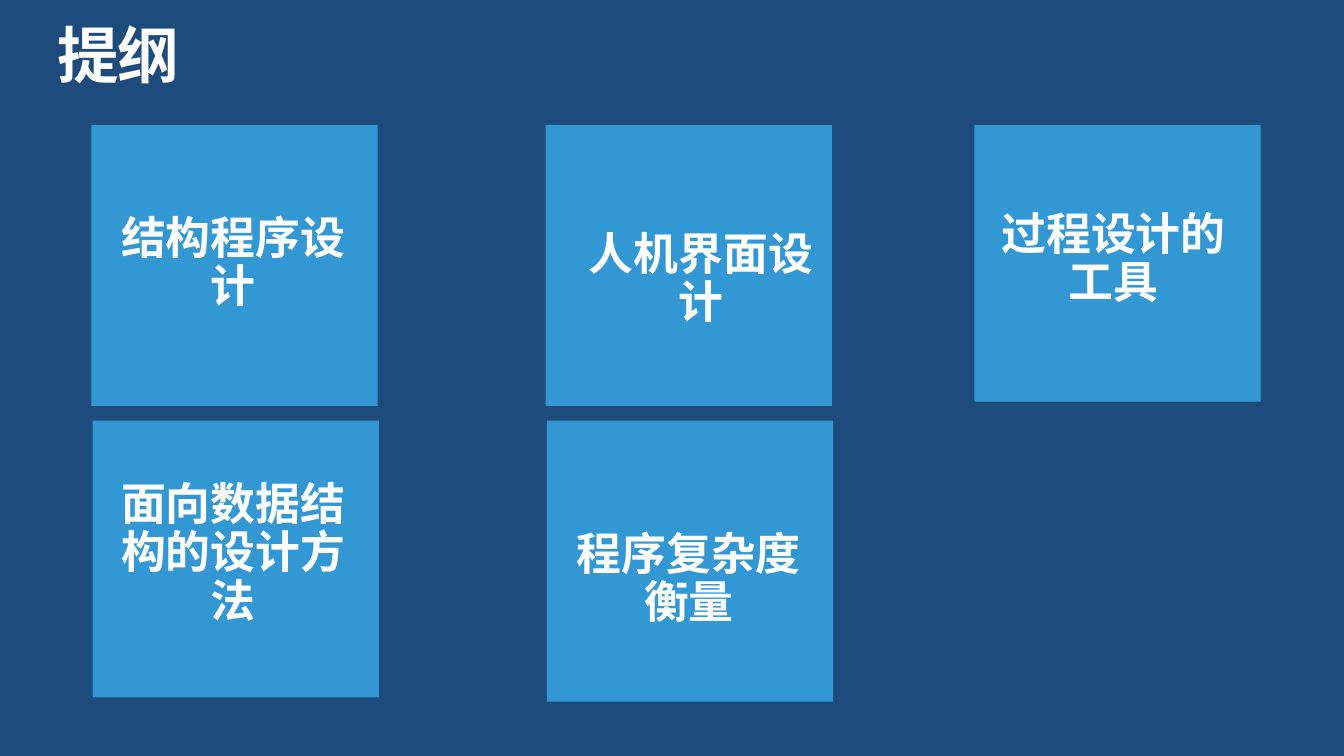
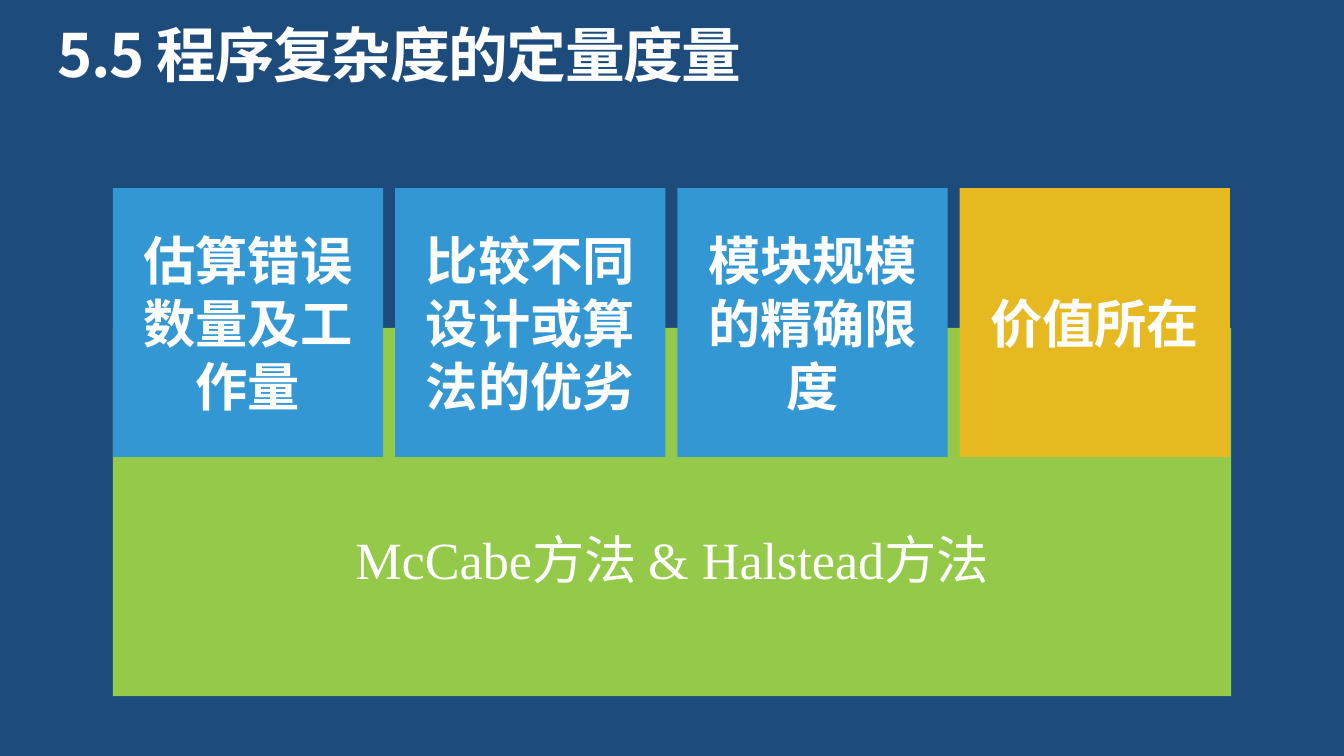
from dataclasses import dataclass
from typing import NamedTuple

from lxml.etree import SubElement
from pptx import Presentation
from pptx.dml.color import RGBColor
from pptx.enum.shapes import MSO_SHAPE
from pptx.enum.text import MSO_ANCHOR, MSO_AUTO_SIZE, PP_ALIGN
from pptx.oxml.ns import qn
from pptx.util import Emu, Pt

EMU_PER_PX = 9144  # 100 px to the inch
SLIDE_WIDTH = 1000

NAVY = "1D4C7C"
BLUE = "3397D3"
GOLD = "E7B921"
GREEN = "94C949"
WHITE = "FFFFFF"
SANS = "Noto Sans CJK SC"
SERIF = "Times New Roman"


class Box(NamedTuple):
    left: int
    top: int
    width: int
    height: int


@dataclass(frozen=True)
class TextStyle:
    size: int
    font: str = SANS
    bold: bool = True
    align: PP_ALIGN = PP_ALIGN.CENTER
    line_spacing: float = 1.0
    letter_spacing: int = 0


@dataclass(frozen=True)
class OutlineCard:
    text: str
    card: Box
    label: Box


@dataclass(frozen=True)
class Tile:
    text: str
    fill: str = BLUE


CARD_STYLE = TextStyle(24, line_spacing=0.9)
TILE_STYLE = TextStyle(28)
METHOD_STYLE = TextStyle(28, font=SERIF, bold=False)

OUTLINE_CARDS = [
    OutlineCard("结构程序设计", Box(68, 93, 213, 209), Box(84, 160, 179, 73)),
    OutlineCard("人机界面设计", Box(406, 93, 213, 209), Box(432, 172, 179, 73)),
    OutlineCard("过程设计的工具", Box(725, 93, 213, 206), Box(739, 157, 179, 73)),
    OutlineCard("程序复杂度衡量", Box(407, 313, 213, 209), Box(423, 395, 179, 73)),
    OutlineCard("面向数据结构的设计方法", Box(69, 313, 213, 206), Box(84, 358, 179, 109)),
]

TILES = [
    Tile("估算错误数量及工作量"),
    Tile("比较不同设计或算法的优劣"),
    Tile("模块规模的精确限度"),
    Tile("价值所在", GOLD),
]
TILE_LEFT = 84
TILE_PITCH = 210


def px(length: int) -> Emu:
    return Emu(length * EMU_PER_PX)


def color(hex_code: str) -> RGBColor:
    return RGBColor.from_string(hex_code)


def place(box: Box) -> list[Emu]:
    return [px(length) for length in box]


def set_margins(frame, horizontal: int, top: int, bottom: int) -> None:
    frame.margin_left = frame.margin_right = px(horizontal)
    frame.margin_top, frame.margin_bottom = px(top), px(bottom)


def write(frame, text: str, style: TextStyle) -> None:
    """Put one styled run into the first paragraph of a text frame."""
    frame.word_wrap = True
    paragraph = frame.paragraphs[0]
    paragraph.alignment = style.align
    paragraph.line_spacing = style.line_spacing
    run = paragraph.add_run()
    run.text = text
    run.font.size = Pt(style.size)
    run.font.bold = style.bold
    run.font.color.rgb = color(WHITE)
    run.font.name = style.font
    properties = run._r.get_or_add_rPr()
    SubElement(properties, qn("a:ea")).set("typeface", SANS)
    if style.letter_spacing:
        properties.set("spc", str(style.letter_spacing))


def add_block(shapes, box: Box, fill: str, kind: MSO_SHAPE = MSO_SHAPE.RECTANGLE):
    """Add a flat filled shape without outline or shadow."""
    shape = shapes.add_shape(kind, *place(box))
    shape.shadow.inherit = False
    shape.fill.solid()
    shape.fill.fore_color.rgb = color(fill)
    shape.line.fill.background()
    return shape


def add_label(shapes, box: Box, text: str, style: TextStyle, anchor: MSO_ANCHOR) -> None:
    """Add a text box without margins that grows with its text."""
    frame = shapes.add_textbox(*place(box)).text_frame
    set_margins(frame, 0, 0, 0)
    frame.vertical_anchor = anchor
    write(frame, text, style)
    frame.auto_size = MSO_AUTO_SIZE.SHAPE_TO_FIT_TEXT


def add_panel(slide, box: Box, fill: str, text: str, style: TextStyle, top_margin: int = 4) -> None:
    """Add a square-cornered panel that carries its own text."""
    panel = add_block(slide.shapes, box, fill, MSO_SHAPE.ROUNDED_RECTANGLE)
    panel.adjustments[0] = 0
    frame = panel.text_frame
    set_margins(frame, 8, top_margin, 4)
    frame.vertical_anchor = MSO_ANCHOR.MIDDLE
    write(frame, text, style)


def add_titled_slide(presentation, title: str, size: int, height: int):
    slide = presentation.slides.add_slide(presentation.slide_layouts[6])
    style = TextStyle(size, align=PP_ALIGN.LEFT, line_spacing=0.9, letter_spacing=-80)
    add_label(slide.shapes, Box(43, 19, 915, height), title, style, MSO_ANCHOR.TOP)
    return slide


def build_outline(presentation) -> None:
    slide = add_titled_slide(presentation, "提纲", 33, 50)
    for item in OUTLINE_CARDS:
        group = slide.shapes.add_group_shape()
        add_block(group.shapes, item.card, BLUE)
        add_label(group.shapes, item.label, item.text, CARD_STYLE, MSO_ANCHOR.MIDDLE)


def build_complexity(presentation) -> None:
    slide = add_titled_slide(presentation, "5.5 程序复杂度的定量度量", 32, 48)
    add_panel(slide, Box(TILE_LEFT, 244, 832, 274), GREEN,
              "McCabe方法 & Halstead方法", METHOD_STYLE, top_margin=74)
    for index, tile in enumerate(TILES):
        box = Box(TILE_LEFT + index * TILE_PITCH, 140, 201, 200)
        add_panel(slide, box, tile.fill, tile.text, TILE_STYLE)


def main() -> None:
    presentation = Presentation()
    presentation.slide_width = px(SLIDE_WIDTH)
    presentation.slide_height = Emu(px(SLIDE_WIDTH) * 9 // 16)
    background = presentation.slide_master.background.fill
    background.solid()
    background.fore_color.rgb = color(NAVY)
    build_outline(presentation)
    build_complexity(presentation)
    presentation.save("out.pptx")


if __name__ == "__main__":
    main()
